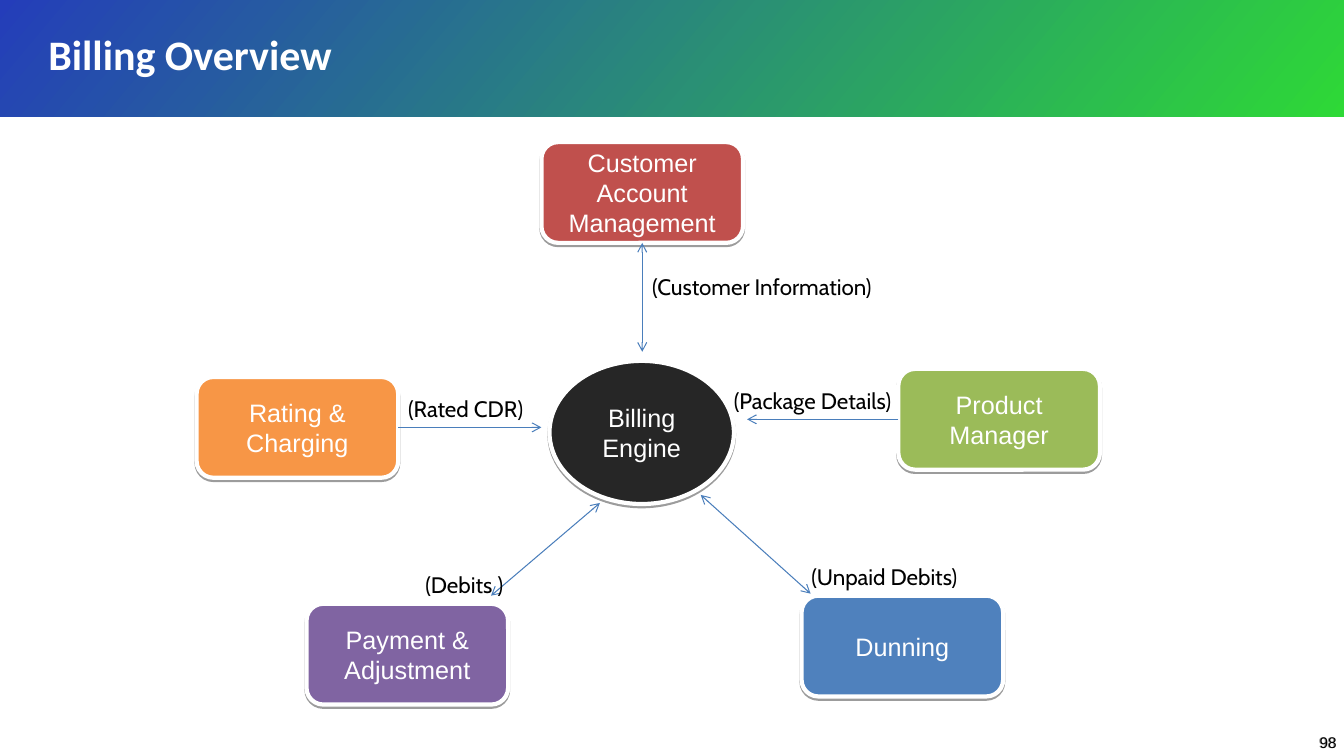
import pptx
import pptx.util
import pptx.dml.color
import pptx.enum.dml
import pptx.enum.shapes
import pptx.enum.text
import pptx.oxml
import pptx.oxml.ns
import lxml.etree

Inches = pptx.util.Inches
Pt = pptx.util.Pt
RGBColor = pptx.dml.color.RGBColor
SHAPE = pptx.enum.shapes.MSO_SHAPE
ALIGN = pptx.enum.text.PP_ALIGN
ANCHOR = pptx.enum.text.MSO_ANCHOR
qn = pptx.oxml.ns.qn

WHITE = RGBColor(0xFF, 0xFF, 0xFF)
BLACK = RGBColor(0, 0, 0)
GRAY = RGBColor(0x92, 0x92, 0x92)
BLUE_START = RGBColor(0x0D, 0x29, 0xB3)
GREEN_END = RGBColor(0x18, 0xD5, 0x21)
RED = RGBColor(0xC0, 0x50, 0x4D)
GREEN = RGBColor(0x9B, 0xBB, 0x59)
ORANGE = RGBColor(0xF7, 0x96, 0x46)
PURPLE = RGBColor(0x80, 0x64, 0xA2)
BLUE = RGBColor(0x4F, 0x81, 0xBD)
CHARCOAL = RGBColor(0x26, 0x26, 0x26)
ARROW_BLUE = RGBColor(0x4A, 0x7E, 0xBB)

TITLE = {"name": "Calibri", "size": Pt(30), "bold": True, "color": WHITE}
NODE = {"name": "Arial", "size": Pt(18), "color": WHITE}
LABEL = {"name": "Cabin", "size": Pt(16), "color": BLACK}
NUMBER = {"name": "Arial", "size": Pt(11)}

NODE_W, NODE_H = 2, 1
LABEL_H = 0.37

# Nodes: name -> shape, offset and size in the diagram, fill
NODES = {
    "Customer Account Management": (SHAPE.ROUNDED_RECTANGLE, 3.42, 0, NODE_W, NODE_H, RED),
    "Product Manager": (SHAPE.ROUNDED_RECTANGLE, 6.96, 2.25, NODE_W, NODE_H, GREEN),
    "Rating & Charging": (SHAPE.ROUNDED_RECTANGLE, 0, 2.33, NODE_W, NODE_H, ORANGE),
    "Payment & Adjustment": (SHAPE.ROUNDED_RECTANGLE, 1.09, 4.58, NODE_W, NODE_H, PURPLE),
    "Dunning": (SHAPE.ROUNDED_RECTANGLE, 6, 4.5, NODE_W, NODE_H, BLUE),
    "Billing Engine": (SHAPE.OVAL, 3.5, 2.17, 1.83, 1.42, CHARCOAL),
}

# Flows: start, end, joined node and side, two-way
FLOWS = [
    ((2, 2.83), (3.42, 2.83), ("Rating & Charging", 3), False),
    ((6.96, 2.75), (5.46, 2.75), ("Product Manager", 1), False),
    ((4.42, 1), (4.42, 2.08), ("Customer Account Management", 2), True),
    ((4, 3.58), (2.92, 4.5), None, True),
    ((5, 3.5), (6.09, 4.48), None, True),
]

# Flow labels: text, offset, width
LABELS = [
    ("(Rated CDR)", 2, 2.46, 1.75),
    ("(Customer Information)", 4.42, 1.25, 2.92),
    ("(Package Details)", 5.23, 2.38, 2.17),
    ("(Debits )", 2.17, 4.21, 1.75),
    ("(Unpaid Debits)", 6, 4.13, 1.75),
]


def write(sp, text, fmt, align=ALIGN.LEFT, anchor=ANCHOR.TOP):
    tf = sp.text_frame
    tf.word_wrap = True
    tf.vertical_anchor = anchor
    p = tf.paragraphs[0]
    p.alignment = align
    r = p.add_run()
    r.text = text
    for key, value in fmt.items():
        if key == "color":
            r.font.color.rgb = value
        else:
            setattr(r.font, key, value)
    return p


def add_text(s, x, y, w, h, text, fmt):
    sp = s.shapes.add_textbox(Inches(x), Inches(y), Inches(w), Inches(h))
    write(sp, text, fmt)


def add_header(s, x, y, w, h):
    # Gradient band, placed behind the title
    band = s.shapes.add_shape(SHAPE.RECTANGLE, Inches(x), Inches(y), Inches(w), Inches(h))
    band.shadow.inherit = False
    band.line.fill.background()
    band.fill.gradient()
    band.fill.gradient_angle = 320
    for stop, color in zip(band.fill.gradient_stops, (BLUE_START, GREEN_END)):
        stop.color.rgb = color
    for clr in band._element.spPr.iter(qn("a:srgbClr")):
        lxml.etree.SubElement(clr, qn("a:alpha")).set("val", "89000")
    s.shapes._spTree.insert(2, band._element)

    # Title
    title = s.shapes.title
    place = {"left": x + 0.38, "top": y + 0.14, "width": 10.19, "height": 0.85}
    for key, value in place.items():
        setattr(title, key, Inches(value))
    p = write(title, "Billing Overview", TITLE, anchor=ANCHOR.MIDDLE)
    p.line_spacing = 0.9


def add_node(s, x, y, w, h, kind, fill, text):
    sp = s.shapes.add_shape(kind, Inches(x), Inches(y), Inches(w), Inches(h))
    sp.fill.solid()
    sp.fill.fore_color.rgb = fill
    sp.line.color.rgb = WHITE
    sp.line.width = Pt(3)
    sp.shadow.inherit = False
    # Hard shadow straight below
    effects = sp._element.spPr.find(qn("a:effectLst"))
    shadow = lxml.etree.SubElement(effects, qn("a:outerShdw"))
    for key, value in {"blurRad": 0, "dist": Pt(1.6), "dir": 5400000, "rotWithShape": 0}.items():
        shadow.set(key, str(int(value)))
    clr = lxml.etree.SubElement(shadow, qn("a:srgbClr"), val="000000")
    lxml.etree.SubElement(clr, qn("a:alpha"), val="38000")
    write(sp, text, NODE, ALIGN.CENTER, ANCHOR.MIDDLE)
    return sp


def add_arrow(s, start, end, two_way):
    c = s.shapes.add_connector(pptx.enum.shapes.MSO_CONNECTOR.STRAIGHT,
                               *(Inches(v) for v in start + end))
    c.line.color.rgb = ARROW_BLUE
    c.line.width = Pt(0.75)
    spPr = c._element.spPr
    ln = spPr.find(qn("a:ln"))
    for tag in ("a:headEnd", "a:tailEnd") if two_way else ("a:tailEnd",):
        lxml.etree.SubElement(ln, qn(tag), type="arrow")
    lxml.etree.SubElement(spPr, qn("a:effectLst"))
    return c


def add_diagram(s, x, y):
    # Systems around the billing engine
    nodes = {}
    for name, (kind, dx, dy, w, h, fill) in NODES.items():
        nodes[name] = add_node(s, x + dx, y + dy, w, h, kind, fill, name)
    # Data flows
    for (x1, y1), (x2, y2), joint, two_way in FLOWS:
        c = add_arrow(s, (x + x1, y + y1), (x + x2, y + y2), two_way)
        if joint:
            name, side = joint
            c.begin_connect(nodes[name], side)
    # Flow labels
    for text, dx, dy, w in LABELS:
        add_text(s, x + dx, y + dy, w, LABEL_H, text, LABEL)


def add_slide_number(s, x, y, w, h):
    # Black number over a slightly offset gray one
    for dx, color in ((0, GRAY), (0.01, BLACK)):
        add_text(s, x + dx, y, w, h, "98", {**NUMBER, "color": color})


def main():
    prs = pptx.Presentation()
    prs.slide_width = Inches(13.33)
    prs.slide_height = Inches(7.5)
    s = prs.slides.add_slide(prs.slide_layouts[5])
    add_header(s, 0, 0, 13.34, 1.16)
    add_slide_number(s, 12.98, 7.22, 0.48, 0.4)
    add_diagram(s, 1.95, 1.41)
    prs.save("out.pptx")


if __name__ == "__main__":
    main()
